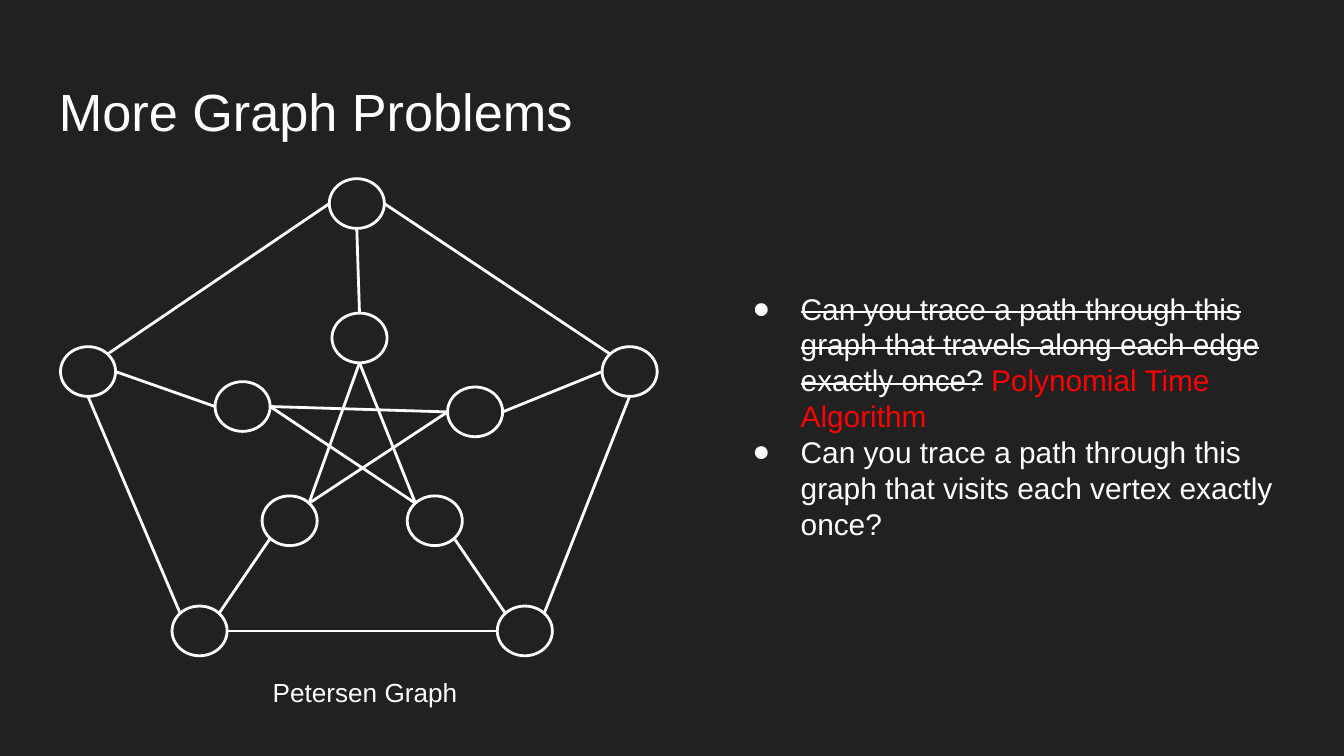
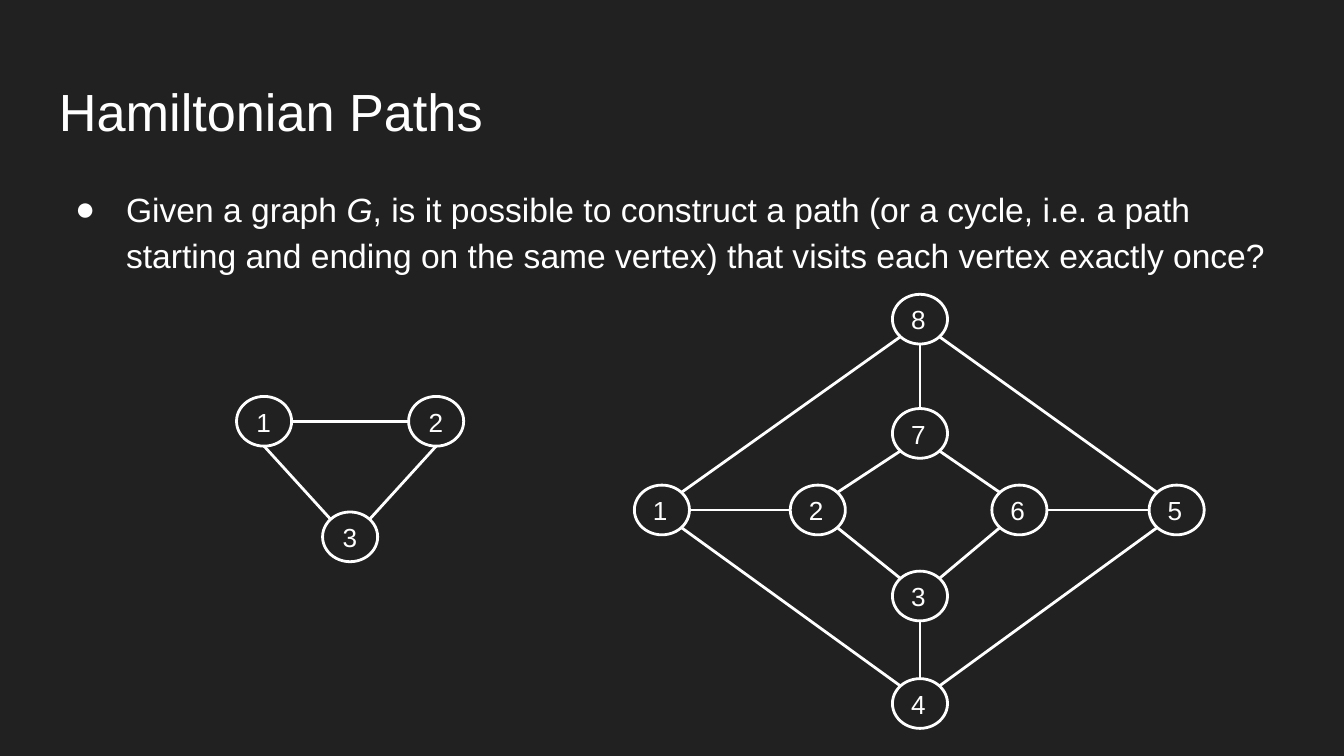
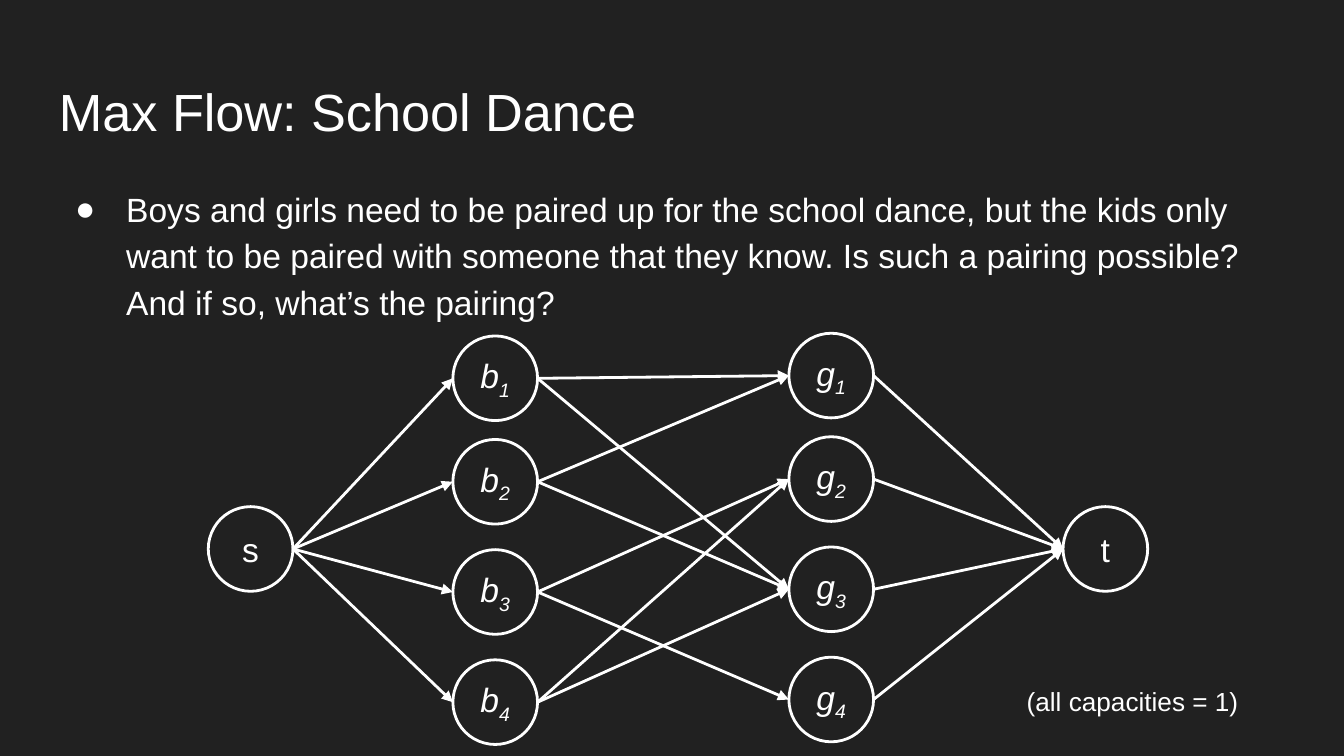
from lxml import etree
from pptx import Presentation
from pptx.dml.color import RGBColor
from pptx.enum import shapes, text
from pptx.oxml import ns
from pptx.util import Inches, Pt

DARK = RGBColor(0x21, 0x21, 0x21)
WHITE = RGBColor(0xFF, 0xFF, 0xFF)
RED = RGBColor(0xFF, 0x00, 0x00)
FONT = "Arial"
LINE_WIDTH = Pt(1.5)

# Points on an ellipse where edges attach, as fractions of its width and height
NEAR, FAR = 0.15, 0.85
SITES = {
    "N": (0.5, 0), "NE": (FAR, NEAR), "E": (1, 0.5), "SE": (FAR, FAR),
    "S": (0.5, 1), "SW": (NEAR, FAR), "W": (0, 0.5), "NW": (NEAR, NEAR),
}
ITALIC = {"i": "1"}
SUBSCRIPT = {"i": "1", "baseline": "-25000"}
STRUCK = {"strike": "sngStrike"}


def write(box, paragraphs, size=18, indent=None, spacing=None, align=None,
          anchor=text.MSO_ANCHOR.TOP):
    """Fill a shape with paragraphs, each a list of (words, run attributes, colour)."""
    frame = box.text_frame
    frame.word_wrap = True
    frame.vertical_anchor = anchor
    frame.margin_left = frame.margin_right = Inches(0.1)
    frame.margin_top = frame.margin_bottom = Inches(0.1)
    for number, spans in enumerate(paragraphs):
        para = frame.add_paragraph() if number else frame.paragraphs[0]
        para.alignment = align
        para.line_spacing = spacing
        if indent:
            props = para._p.get_or_add_pPr()
            props.set("marL", str(Inches(0.5)))
            props.set("indent", str(Inches(indent)))
            colour = etree.SubElement(props, ns.qn("a:buClr"))
            etree.SubElement(colour, ns.qn("a:srgbClr"), val=str(WHITE))
            etree.SubElement(props, ns.qn("a:buFont"), typeface=FONT)
            etree.SubElement(props, ns.qn("a:buChar"), char="●")
        for words, attributes, colour in spans:
            span = para.add_run()
            span.text = words
            span.font.name = FONT
            span.font.size = Pt(size)
            span.font.color.rgb = colour
            for key, value in attributes.items():
                span._r.get_or_add_rPr().set(key, value)


def add_text(page, area, paragraphs, **style):
    box = page.shapes.add_textbox(*map(Inches, area))
    write(box, paragraphs, **style)


# Graphs: node positions, and edges as "node site node site"
petersen = {
    "size": (0.41, 0.37),
    "nodes": {
        "top": (2.45, 1.33), "left": (0.45, 2.58), "right": (4.48, 2.58),
        "low-left": (1.28, 4.51), "low-right": (3.7, 4.51),
        "in-top": (2.47, 2.33), "in-left": (1.6, 2.84), "in-right": (3.33, 2.88),
        "in-low-left": (1.95, 3.69), "in-low-right": (3.03, 3.69),
    },
    "edges": [
        # Outer ring
        "low-right NE right S", "low-left E low-right W", "left S low-left NW",
        "left NE top W", "right NW top E",
        # Spokes
        "top S in-top N", "right W in-right E", "low-right NW in-low-right SE",
        "low-left NE in-low-left SW", "left E in-left W",
        # Inner star
        "in-low-right NW in-top S", "in-low-left NE in-top S", "in-right W in-left E",
        "in-low-right NW in-left E", "in-right W in-low-left NE",
    ],
}
triangle = {
    "size": (0.41, 0.37),
    "labels": "beside",
    "label_shift": 0.05,
    "nodes": {"1": (1.76, 2.95), "2": (3.04, 2.95), "3": (2.4, 3.81)},
    "edges": ["1 S 3 NW", "1 E 2 W", "3 NE 2 S"],
}
diamond = {
    "size": (0.41, 0.37),
    "labels": "beside",
    "label_shift": 0.04,
    "nodes": {
        "1": (4.72, 3.61), "2": (5.88, 3.61), "3": (6.64, 4.25), "4": (6.64, 5.05),
        "5": (8.55, 3.61), "6": (7.38, 3.61), "7": (6.64, 3.04), "8": (6.64, 2.19),
    },
    "edges": [
        "1 NE 8 SW", "5 NW 8 SE", "5 SW 4 NE", "4 NW 1 SE",
        "7 SW 2 NE", "2 SE 3 NW", "3 NE 6 SW", "6 NW 7 SE",
        "7 N 8 S", "2 W 1 E", "5 W 6 E", "4 N 3 S",
    ],
}
flow = {
    "size": (0.63, 0.63),
    "labels": "inside",
    "arrows": True,
    "nodes": {"s": (1.55, 3.77), "t": (7.91, 3.77)},
    "edges": [f"b{boy} E g{girl} W" for boy, girl in
              [(1, 1), (1, 3), (2, 1), (2, 3), (3, 4), (4, 2), (4, 3), (3, 2)]],
}
for number, row_top in enumerate([2.5, 3.27, 4.09, 4.91], start=1):
    flow["nodes"][f"b{number}"] = (3.37, row_top)
    flow["nodes"][f"g{number}"] = (5.87, row_top - 0.02)
    flow["edges"] += [f"s E b{number} W", f"g{number} E t W"]

lectures = [
    ("More Graph Problems", [petersen]),
    ("Hamiltonian Paths", [triangle, diamond]),
    ("Max Flow: School Dance", [flow]),
]

# Widescreen deck, 16 to 9
deck = Presentation()
deck.slide_width = Inches(10)
deck.slide_height = Inches(10) * 9 // 16
pages = []

for title, graphs in lectures:
    # Background and title
    page = deck.slides.add_slide(deck.slide_layouts[6])
    pages.append(page)
    page.background.fill.solid()
    page.background.fill.fore_color.rgb = DARK
    add_text(page, (0.34, 0.49, 9.32, 0.63), [[(title, {}, WHITE)]], size=28)

    for graph in graphs:
        group = page.shapes.add_group_shape()
        width, height = graph["size"]

        # Nodes
        for name, (left, top) in graph["nodes"].items():
            node = group.shapes.add_shape(
                shapes.MSO_SHAPE.OVAL, *map(Inches, (left, top, width, height)))
            node.shadow.inherit = False
            node.fill.background()
            node.line.color.rgb = WHITE
            node.line.width = LINE_WIDTH
            if graph.get("labels") == "inside":
                spans = [(name, {}, WHITE)]
                if len(name) > 1:
                    spans = [(name[0], ITALIC, WHITE), (name[1], SUBSCRIPT, WHITE)]
                write(node, [spans], align=text.PP_ALIGN.CENTER,
                      anchor=text.MSO_ANCHOR.MIDDLE)
            elif graph.get("labels") == "beside":
                add_text(page, (left + graph["label_shift"], top - 0.03, 0.41, 0.42),
                         [[(name, {}, WHITE)]], size=14)

        # Edges
        for edge in graph["edges"]:
            start, start_site, end, end_site = edge.split()
            ends = []
            for name, site in ((start, start_site), (end, end_site)):
                left, top = graph["nodes"][name]
                across, down = SITES[site]
                ends += [Inches(left + across * width), Inches(top + down * height)]
            link = group.shapes.add_connector(shapes.MSO_CONNECTOR.STRAIGHT, *ends)
            link.line.color.rgb = WHITE
            link.line.width = LINE_WIDTH
            if graph.get("arrows"):
                etree.SubElement(link.line._get_or_add_ln(), ns.qn("a:tailEnd"),
                                 type="triangle")
            etree.SubElement(link._element.spPr, ns.qn("a:effectLst"))

problems, paths, dance = pages

# Caption and questions for the Petersen graph
add_text(problems, (1.93, 4.93, 1.78, 0.74), [[("Petersen Graph", {}, WHITE)]], size=14)
add_text(problems, (5.36, 2.06, 4.3, 1.85), [
    [("Can you trace a path through this graph that travels along each edge exactly once?",
      STRUCK, WHITE),
     (" ", {}, WHITE),
     ("Polynomial Time Algorithm", {}, RED)],
    [("Can you trace a path through this graph that visits each vertex exactly once?",
      {}, WHITE)],
], size=16, indent=-0.36)

# Hamiltonian path definition
add_text(paths, (0.34, 1.26, 9.32, 0.8), [[
    ("Given a graph ", {}, WHITE),
    ("G", ITALIC, WHITE),
    (", is it possible to construct a path (or a cycle, i.e. a path starting and ending "
     "on the same vertex) that visits each vertex exactly once?", {}, WHITE),
]], indent=-0.38, spacing=1.15)

# School dance question and capacity note
add_text(dance, (0.34, 1.26, 9.32, 1.09), [[
    ("Boys and girls need to be paired up for the school dance, but the kids only want to "
     "be paired with someone that they know. Is such a pairing possible? And if so, "
     "what’s the pairing?", {}, WHITE),
]], indent=-0.38, spacing=1.15)
add_text(dance, (7.54, 5, 1.98, 0.45), [[("(all capacities = 1)", {}, WHITE)]], size=14)

deck.save("out.pptx")
